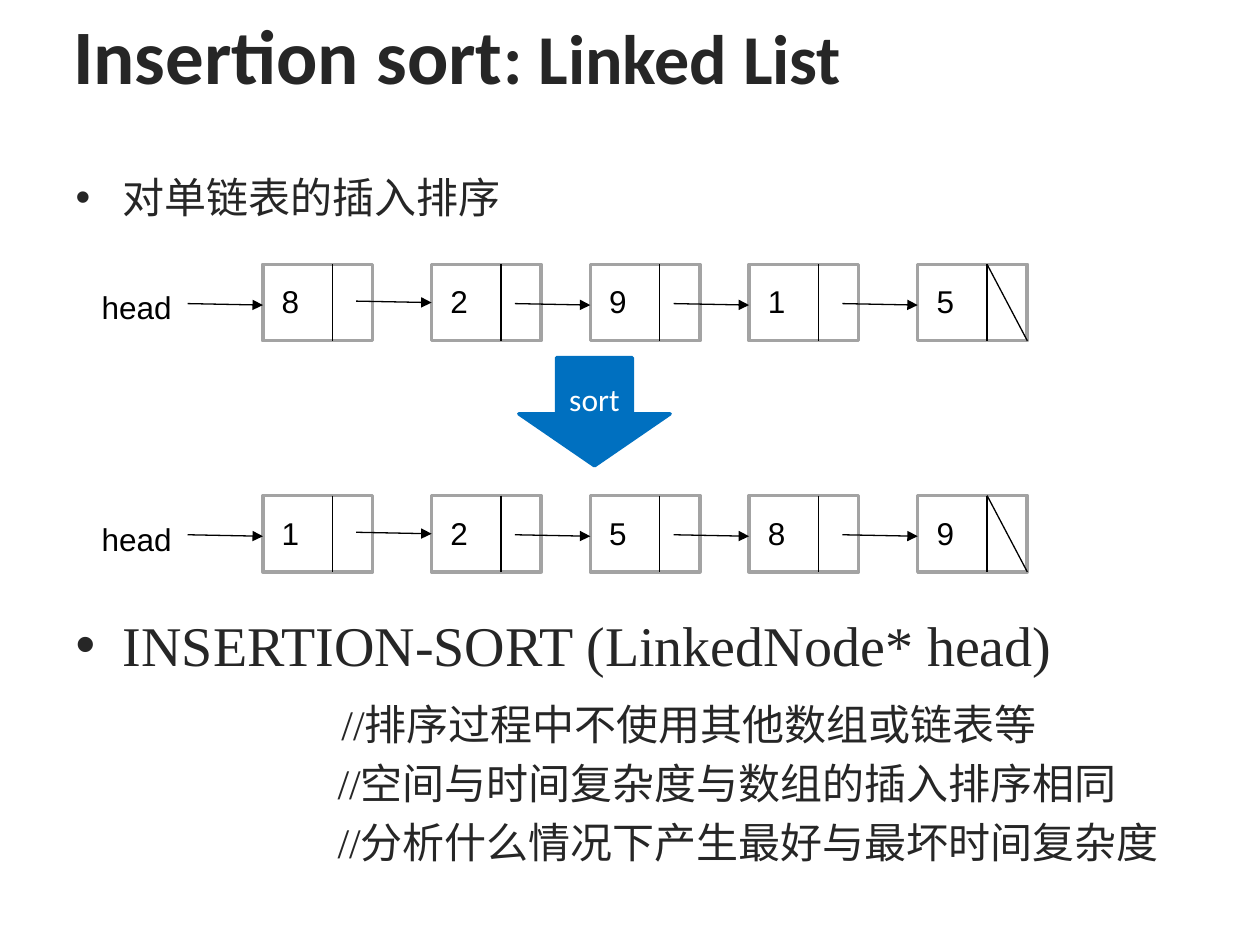
"""Build a slide on insertion sort of a linked list."""
import dataclasses

import lxml.etree
import pptx
import pptx.dml.color
import pptx.enum.shapes
import pptx.enum.text
import pptx.oxml.ns
import pptx.util

Cm = pptx.util.Cm
Pt = pptx.util.Pt
Shape = pptx.enum.shapes.MSO_SHAPE
Anchor = pptx.enum.text.MSO_ANCHOR
Align = pptx.enum.text.PP_ALIGN


@dataclasses.dataclass(frozen=True)
class Theme:
    """Colours, fonts and type sizes of the slide."""
    ink: str = "262626"
    black: str = "000000"
    white: str = "FFFFFF"
    frame: str = "A3A3A3"
    accent: str = "0070C0"
    heading_font: str = "Calibri"
    body_font: str = "Times New Roman"
    label_font: str = "Arial"
    title_size: int = 44
    subtitle_size: int = 40
    function_size: int = 32
    body_size: int = 24
    label_size: int = 18


THEME = Theme()


def rgb(value):
    """Turn a hex string into a colour."""
    return pptx.dml.color.RGBColor.from_string(value)


def set_values(target, values):
    """Set each named attribute on the target."""
    for name, value in values.items():
        setattr(target, name, value)


def add_span(para, text, colour, **font):
    """Add formatted text to a paragraph."""
    span = para.add_run()
    span.text = text
    set_values(span.font, font)
    span.font.color.rgb = rgb(colour)


def place(shape, left, top, width, height):
    """Move and size a shape in centimetres."""
    set_values(shape, {"left": Cm(left), "top": Cm(top),
                       "width": Cm(width), "height": Cm(height)})


def add_label(page, text, left, top, width):
    """Add a diagram label."""
    box = page.shapes.add_textbox(Cm(left), Cm(top), Cm(width), Cm(1.02))
    box.text_frame.word_wrap = True
    add_span(box.text_frame.paragraphs[0], text, THEME.black,
             name=THEME.label_font, size=Pt(THEME.label_size))


def add_line(page, start, end, arrow=False):
    """Draw a thin line, with an arrowhead if asked."""
    line = page.shapes.add_connector(
        pptx.enum.shapes.MSO_CONNECTOR.STRAIGHT, *map(Cm, start + end))
    line.line.width = Pt(0.75)
    line.line.color.rgb = rgb(THEME.black)
    if arrow:
        outline = line.line._get_or_add_ln()
        lxml.etree.SubElement(outline, pptx.oxml.ns.qn("a:tailEnd"), type="triangle")
    lxml.etree.SubElement(line._element.spPr, pptx.oxml.ns.qn("a:effectLst"))


def add_block(page, kind, left, top, width, height, outline):
    """Add a preset shape with a coloured outline and no shadow."""
    block = page.shapes.add_shape(kind, Cm(left), Cm(top), Cm(width), Cm(height))
    block.shadow.inherit = False
    block.line.color.rgb = rgb(outline)
    block.line.width = Pt(2)
    return block


def build_title(page, left, top, width, height):
    """Fill the title placeholder."""
    title = page.shapes.title
    place(title, left, top, width, height)
    set_values(title.text_frame, {"vertical_anchor": Anchor.MIDDLE, "word_wrap": True,
                                  "auto_size": pptx.enum.text.MSO_AUTO_SIZE.NONE})
    para = title.text_frame.paragraphs[0]
    para.alignment = Align.LEFT
    for text, size in (("Insertion sort", THEME.title_size),
                       (": Linked List", THEME.subtitle_size)):
        add_span(para, text, THEME.ink, name=THEME.heading_font, size=Pt(size), bold=True)


def build_body(page, left, top, width, height):
    """Fill the body placeholder, leaving room for the diagram."""
    body = page.placeholders[1]
    place(body, left, top, width, height)
    frame = body.text_frame
    set_values(frame, {"word_wrap": True,
                       "auto_size": pptx.enum.text.MSO_AUTO_SIZE.NONE})
    lines = (
        ("对单链表的插入排序", THEME.body_size, 0, None),
        ("INSERTION-SORT (LinkedNode* head)", THEME.function_size, 222, None),
        ("//排序过程中不使用其他数组或链表等", THEME.body_size, 12, 5.36),
        ("//空间与时间复杂度与数组的插入排序相同", THEME.body_size, 5, 5.28),
        ("//分析什么情况下产生最好与最坏时间复杂度", THEME.body_size, 5, 5.28),
    )
    for index, (text, size, before, indent) in enumerate(lines):
        para = frame.add_paragraph() if index else frame.paragraphs[0]
        if indent:
            properties = para._p.get_or_add_pPr()
            properties.set("marL", str(int(Cm(indent))))
            properties.set("indent", "0")
            lxml.etree.SubElement(properties, pptx.oxml.ns.qn("a:buNone"))
        para.space_before = Pt(before)
        add_span(para, text, THEME.ink, name=THEME.body_font, size=Pt(size))


def build_list(page, values, left, top):
    """Draw a linked list with its head pointer."""
    width, height, divider = 2.21, 1.54, 1.4
    add_label(page, "head", left, top + 0.36, 2.54)
    for index, (value, offset) in enumerate(zip(values, (3.5, 6.9, 10.1, 13.3, 16.7))):
        node = left + offset
        add_block(page, Shape.RECTANGLE, node, top, width, height,
                  THEME.frame).fill.background()
        add_label(page, str(value), node + 0.13, top + 0.24, 1.27)
        add_line(page, (node + divider, top), (node + divider, top + height))
        level = top + (0.74 if index == 1 else 0.79)
        add_line(page, (node - 1.52, level), (node, level + 0.03), arrow=True)
    add_line(page, (node + divider, top), (node + width, top + height))


def build_sort_arrow(page, left, top, width, height):
    """Draw the arrow from the unsorted to the sorted list."""
    arrow = add_block(page, Shape.DOWN_ARROW, left, top, width, height, THEME.accent)
    arrow.adjustments[0] = 0.5
    arrow.adjustments[1] = 0.48
    arrow.fill.solid()
    arrow.fill.fore_color.rgb = rgb(THEME.accent)
    set_values(arrow.text_frame, {"vertical_anchor": Anchor.MIDDLE, "word_wrap": True})
    para = arrow.text_frame.paragraphs[0]
    para.alignment = Align.CENTER
    add_span(para, "sort", THEME.white, name=THEME.heading_font, size=Pt(THEME.label_size))


def main():
    """Assemble and save the deck."""
    deck = pptx.Presentation()
    set_values(deck, {"slide_width": Cm(25.4), "slide_height": Cm(19.05)})
    page = deck.slides.add_slide(deck.slide_layouts[1])
    build_title(page, 1.22, 0.13, 23.34, 1.9)
    build_body(page, 1.27, 3.33, 22.86, 14.5)
    build_list(page, (8, 2, 9, 1, 5), 1.8, 5.33)
    build_list(page, (1, 2, 5, 8, 9), 1.8, 9.99)
    build_sort_arrow(page, 10.46, 7.21, 3.05, 2.18)
    deck.save("out.pptx")


if __name__ == "__main__":
    main()
